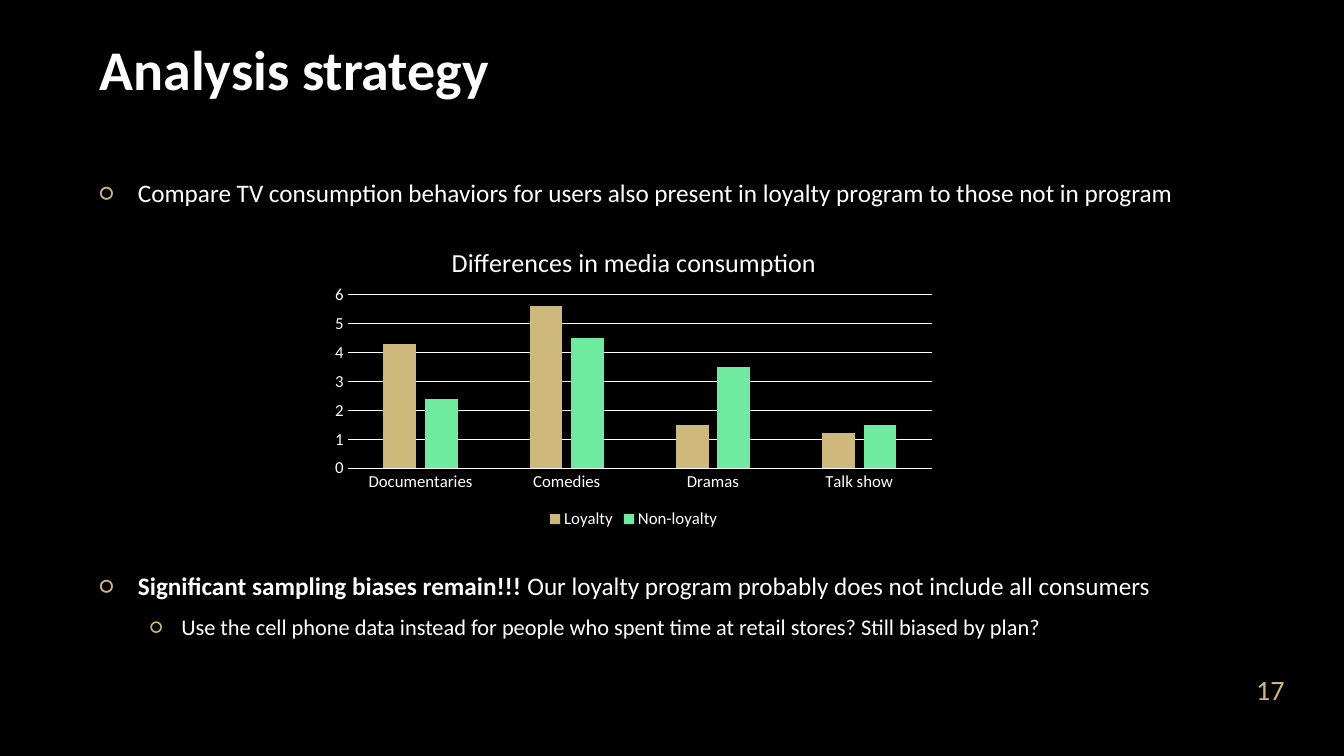
from dataclasses import dataclass

from lxml import etree
from pptx import Presentation
from pptx.chart.data import CategoryChartData
from pptx.dml.color import RGBColor
from pptx.enum.chart import XL_CHART_TYPE, XL_LEGEND_POSITION, XL_TICK_MARK
from pptx.enum.text import MSO_ANCHOR, PP_ALIGN
from pptx.oxml.ns import qn
from pptx.util import Inches, Pt


@dataclass(frozen=True)
class Theme:
    font: str = "Calibri"
    background: RGBColor = RGBColor(0, 0, 0)
    heading: RGBColor = RGBColor(0xFE, 0xFE, 0xFE)
    text: RGBColor = RGBColor(0xFF, 0xFF, 0xFF)
    gold: RGBColor = RGBColor(0xCF, 0xB8, 0x7C)
    green: RGBColor = RGBColor(0x6F, 0xEB, 0xA0)
    heading_size: float = 40
    body_size: float = 18
    detail_size: float = 16
    number_size: float = 20
    chart_title_size: float = 18.6
    chart_size: float = 12


THEME = Theme()
WIDTH, HEIGHT = 13.33, 7.5
LEFT, COLUMN = 0.89, 11.54
INDENTS = ((0.38, -0.38), (0.81, -0.31))


def style(font, size, color, bold=None):
    font.name = THEME.font
    font.size = Pt(size)
    font.color.rgb = color
    font.bold = bold


def add_frame(slide, box, anchor):
    frame = slide.shapes.add_textbox(*map(Inches, box)).text_frame
    frame.word_wrap = True
    frame.vertical_anchor = anchor
    return frame


def add_heading(slide, box, wording):
    frame = add_frame(slide, box, MSO_ANCHOR.BOTTOM)
    heading = frame.paragraphs[0]
    heading.text = wording
    style(heading.font, THEME.heading_size, THEME.heading, True)


def add_page_number(slide, box, wording):
    frame = add_frame(slide, box, MSO_ANCHOR.BOTTOM)
    frame.margin_bottom = Inches(0.01)
    number = frame.paragraphs[0]
    number.text = wording
    number.alignment = PP_ALIGN.RIGHT
    style(number.font, THEME.number_size, THEME.gold)


def set_bullet(paragraph, level):
    margin, indent = INDENTS[level]
    properties = paragraph._p.get_or_add_pPr()
    properties.set("marL", str(Inches(margin)))
    properties.set("indent", str(Inches(indent)))
    color = etree.SubElement(properties, qn("a:buClr"))
    etree.SubElement(color, qn("a:srgbClr"), val=str(THEME.gold))
    etree.SubElement(properties, qn("a:buFont"), typeface=THEME.font)
    etree.SubElement(properties, qn("a:buChar"), char="○")


def add_bullets(slide, box, points):
    frame = add_frame(slide, box, MSO_ANCHOR.TOP)
    for index, (level, emphasis, wording) in enumerate(points):
        point = frame.paragraphs[0] if index == 0 else frame.add_paragraph()
        point.level = level
        set_bullet(point, level)
        point.space_after = Pt(6)
        if index:
            point.space_before = Pt(3)
        if emphasis:
            strong = point.add_run()
            strong.text = emphasis
            strong.font.bold = True
        point.add_run().text = wording
        style(point.font, (THEME.body_size, THEME.detail_size)[level], THEME.text)


def set_layout(parent, successors, **shares):
    for stale in parent.findall(qn("c:layout")):
        parent.remove(stale)
    layout = etree.Element(qn("c:layout"))
    manual = etree.SubElement(layout, qn("c:manualLayout"))
    if "w" in shares:
        etree.SubElement(manual, qn("c:layoutTarget"), val="inner")
    for side in "xy":
        etree.SubElement(manual, qn(f"c:{side}Mode"), val="edge")
    for side, share in shares.items():
        etree.SubElement(manual, qn(f"c:{side}"), val=str(share))
    follower = next(child for child in parent if child.tag in map(qn, successors))
    follower.addprevious(layout)


def white_line(line):
    line.color.rgb = THEME.text
    line.width = Pt(0.75)


def add_consumption_chart(slide, box):
    consumption = CategoryChartData()
    consumption.categories = ["Documentaries", "Comedies", "Dramas", "Talk show"]
    consumption.add_series("Loyalty", (4.3, 5.6, 1.5, 1.2))
    consumption.add_series("Non-loyalty", (2.4, 4.5, 3.5, 1.5))
    chart = slide.shapes.add_chart(
        XL_CHART_TYPE.COLUMN_CLUSTERED, *map(Inches, box), consumption
    ).chart
    style(chart.font, THEME.chart_size, THEME.text)

    title = chart.chart_title
    title.text_frame.text = "Differences in media consumption"
    style(title.text_frame.paragraphs[0].font, THEME.chart_title_size, THEME.text, False)
    title.include_in_layout = False
    set_layout(title._element, ["c:overlay"], x=0.2, y=0.05)

    chart.has_legend = True
    chart.legend.position = XL_LEGEND_POSITION.BOTTOM
    chart.legend.include_in_layout = False
    style(chart.legend.font, THEME.chart_size, THEME.text)

    for axis in (chart.category_axis, chart.value_axis):
        axis.major_tick_mark = axis.minor_tick_mark = XL_TICK_MARK.NONE
        style(axis.tick_labels.font, THEME.chart_size, THEME.text)
    white_line(chart.category_axis.format.line)
    scale = chart.value_axis
    scale.minimum_scale, scale.maximum_scale, scale.major_unit = 0, 6, 1
    scale.format.line.fill.background()
    white_line(scale.major_gridlines.format.line)

    columns = chart.plots[0]
    columns.vary_by_categories = False
    columns.gap_width, columns.overlap = 219, -27
    for series, color in zip(columns.series, (THEME.gold, THEME.green)):
        series.format.fill.solid()
        series.format.fill.fore_color.rgb = color
    plot_area = columns._element.getparent()
    set_layout(plot_area, ["c:barChart"], x=0.04, y=0.23, w=0.94, h=0.56)


def build_analysis_slide(deck):
    slide = deck.slides.add_slide(deck.slide_layouts[6])
    slide.background.fill.solid()
    slide.background.fill.fore_color.rgb = THEME.background
    add_heading(slide, (LEFT, 0, COLUMN, 1.06), "Analysis strategy")
    add_bullets(slide, (LEFT, 1.71, COLUMN, 0.45), [
        (0, "", "Compare TV consumption behaviors for users also present in "
                "loyalty program to those not in program"),
    ])
    add_bullets(slide, (LEFT, 5.61, COLUMN, 0.85), [
        (0, "Significant sampling biases remain!!! ",
         "Our loyalty program probably does not include all consumers"),
        (1, "", "Use the cell phone data instead for people who spent time at "
                "retail stores? Still biased by plan?"),
    ])
    add_page_number(slide, (11.68, 6.47, 1.16, 0.54), "17")
    add_consumption_chart(slide, (3.2, 2.22, 6.17, 3.07))


def main():
    deck = Presentation()
    deck.slide_width, deck.slide_height = Inches(WIDTH), Inches(HEIGHT)
    build_analysis_slide(deck)
    deck.save("out.pptx")


if __name__ == "__main__":
    main()
